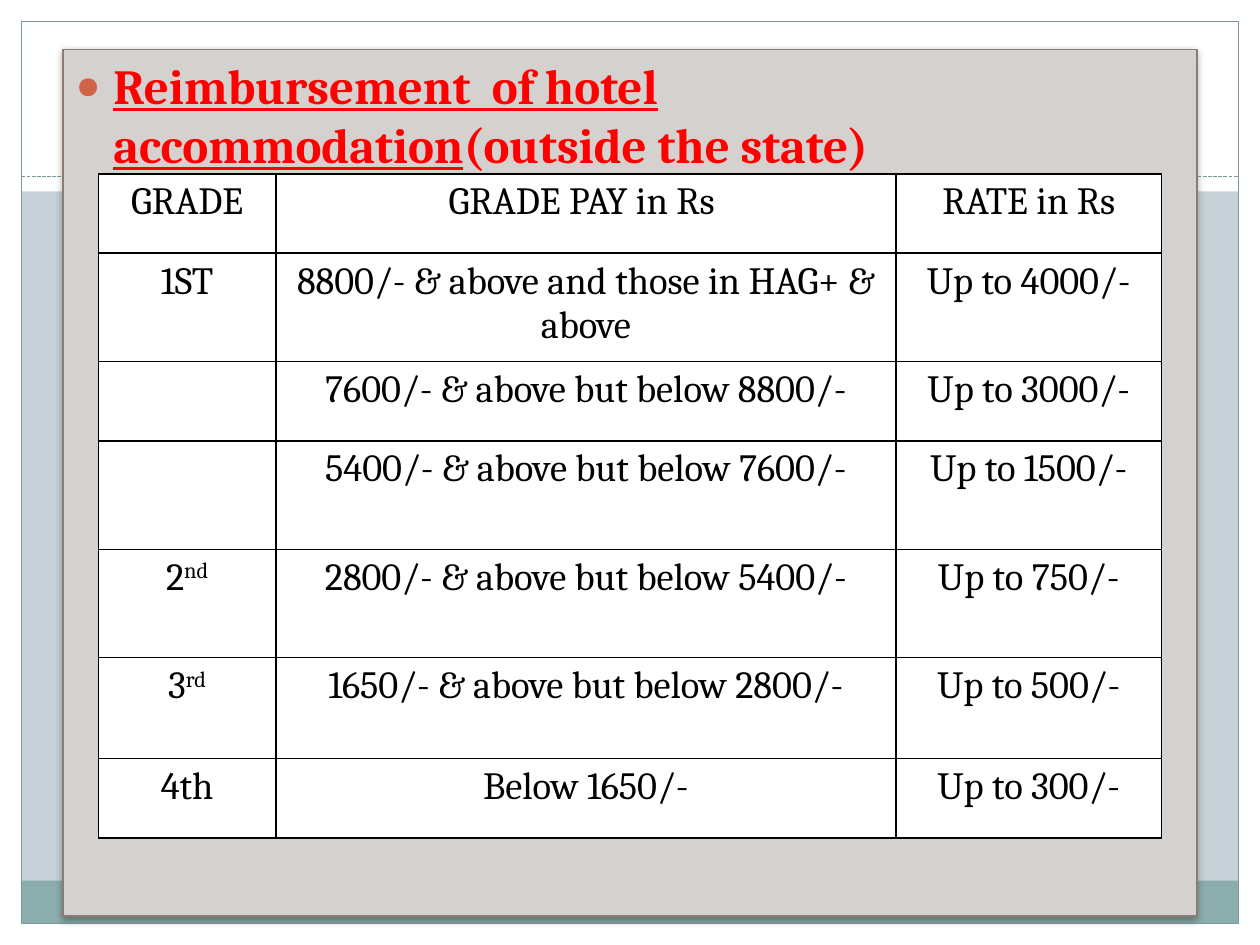
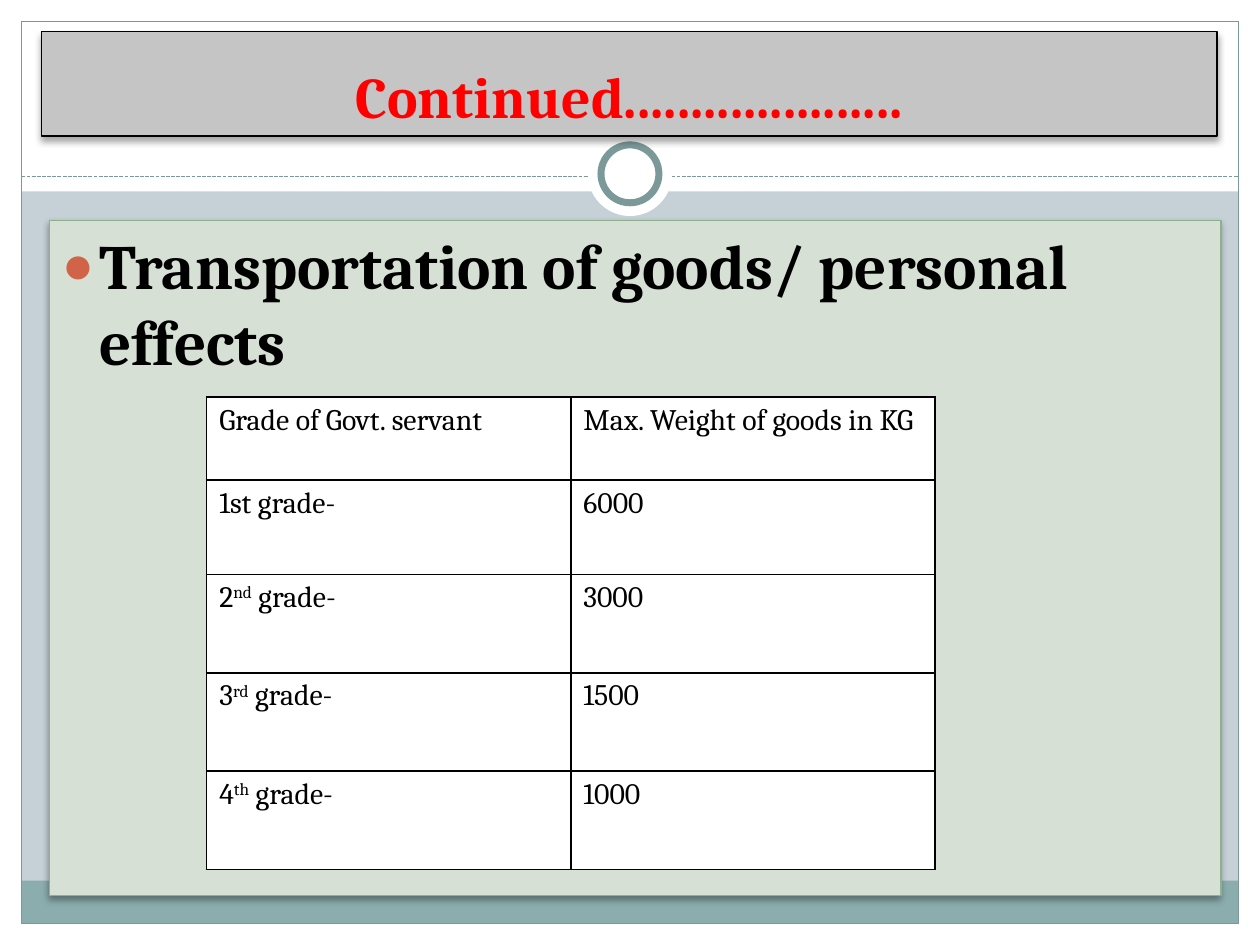
import pptx
import pptx.dml.color
import pptx.enum.dml
import pptx.enum.shapes
import pptx.enum.text
import pptx.oxml
import pptx.oxml.ns
import pptx.util

Inches = pptx.util.Inches
Pt = pptx.util.Pt
SHAPES = pptx.enum.shapes.MSO_SHAPE
ALIGN = pptx.enum.text.PP_ALIGN
ANCHOR = pptx.enum.text.MSO_ANCHOR
NAMESPACE = pptx.oxml.ns.nsdecls("a")

FONT = "Cambria"
WIDTH, HEIGHT = 10, 7.5
MARGIN = 0.17
HEADER_HEIGHT = 1.52
RULE_TOP = 1.4
COLORS = {
    "background": "C5D1D7",
    "white": "FFFFFF",
    "black": "000000",
    "red": "FF0000",
    "frame": "7C999A",
    "footer": "8CADAE",
    "bullet": "D16349",
    "stone": "D5D1CF",
    "stone_line": "8C7B70",
    "sage": "D6E0D5",
    "sage_line": "8FB08C",
    "title": "C5C5C5",
}


def rgb(name):
    return pptx.dml.color.RGBColor.from_string(COLORS[name])


def set_fill(fill, color):
    if color is None:
        fill.background()
    else:
        fill.solid()
        fill.fore_color.rgb = rgb(color)


def set_line(line, color, width=0.75):
    if color is None:
        line.fill.background()
    else:
        line.color.rgb = rgb(color)
        line.width = Pt(width)


def add_plain_shape(slide, kind, box, fill=None, line=None, width=0.75):
    shape = slide.shapes.add_shape(kind, *map(Inches, box))
    shape.shadow.inherit = False
    set_fill(shape.fill, fill)
    set_line(shape.line, line, width)
    return shape


def add_dashed_rule(slide, top):
    rule = slide.shapes.add_connector(
        pptx.enum.shapes.MSO_CONNECTOR.STRAIGHT,
        Inches(MARGIN), Inches(top), Inches(WIDTH - MARGIN), Inches(top))
    set_line(rule.line, "frame")
    rule.line.dash_style = pptx.enum.dml.MSO_LINE.SQUARE_DOT
    rule.element.spPr.append(
        pptx.oxml.parse_xml(f"<a:effectLst {NAMESPACE}/>"))
    return rule


def add_master_frame(presentation, slide):
    """Draw the shared bands and frame, then hand them to the slide master."""
    master = presentation.slide_master
    set_fill(master.background.fill, "background")
    inner_width = WIDTH - 2 * MARGIN
    bottom = HEIGHT - MARGIN
    bands = [
        ((0, bottom, WIDTH, MARGIN), "white"),
        ((0, 0, WIDTH, HEADER_HEIGHT), "white"),
        ((0, 0, MARGIN, HEIGHT), "white"),
        ((WIDTH - MARGIN, 0, MARGIN, HEIGHT), "white"),
        ((MARGIN, 6.99, inner_width, 0.34), "footer"),
    ]
    frame = [add_plain_shape(slide, SHAPES.RECTANGLE, box, fill)
             for box, fill in bands]
    frame.append(add_plain_shape(
        slide, SHAPES.RECTANGLE,
        (MARGIN, MARGIN, inner_width, bottom - MARGIN), line="frame"))
    frame.append(add_dashed_rule(slide, RULE_TOP))
    for number, shape in enumerate(frame, start=100):
        shape.element.xpath(".//p:cNvPr")[0].set("id", str(number))
        master.shapes.element.append(shape.element)


def add_ring(slide):
    for size, line in ((0.67, None), (0.46, "frame")):
        box = ((WIDTH - size) / 2, 1.38 - size / 2, size, size)
        add_plain_shape(slide, SHAPES.OVAL, box, "white", line, 4)


def add_bullet(paragraph):
    properties = paragraph._p.get_or_add_pPr()
    properties.set("marL", str(Inches(0.3)))
    properties.set("indent", str(-Inches(0.3)))
    for xml in (
        f'<a:buClr {NAMESPACE}><a:srgbClr val="{COLORS["bullet"]}"/></a:buClr>',
        f'<a:buSzPct {NAMESPACE} val="85000"/>',
        f'<a:buChar {NAMESPACE} char="●"/>',
    ):
        properties.append(pptx.oxml.parse_xml(xml))


def write_text(text_frame, text, size, color="black", bold=False,
               align=ALIGN.LEFT, bullet=False):
    """Write one paragraph; text is a string or (string, style) pairs."""
    paragraph = text_frame.paragraphs[0]
    paragraph.space_before = Pt(0)
    paragraph.alignment = align
    if bullet:
        add_bullet(paragraph)
    runs = [(text, None)] if isinstance(text, str) else text
    for content, style in runs:
        run = paragraph.add_run()
        run.text = content
        run.font.name = FONT
        run.font.size = Pt(size)
        run.font.bold = bold
        run.font.color.rgb = rgb(color)
        if style == "underline":
            run.font.underline = True
        elif style == "superscript":
            run._r.get_or_add_rPr().set("baseline", "30000")


def ordinal(number, suffix, rest=""):
    runs = [(number, None), (suffix, "superscript")]
    return runs + [(rest, None)] if rest else runs


def add_soft_shadow(shape):
    shape.shadow.inherit = False
    shape.element.spPr.find(pptx.oxml.ns.qn("a:effectLst")).append(
        pptx.oxml.parse_xml(
            f'<a:outerShdw {NAMESPACE} blurRad="{Pt(4)}" dist="{Pt(2)}" '
            'dir="5400000" rotWithShape="0"><a:srgbClr val="000000">'
            '<a:alpha val="35000"/></a:srgbClr></a:outerShdw>'))


def fill_placeholder(shape, box, text, fill, line, anchor, **text_format):
    """Turn a placeholder into a shadowed panel in front of earlier shapes."""
    shape.left, shape.top, shape.width, shape.height = map(Inches, box)
    set_fill(shape.fill, fill)
    set_line(shape.line, line)
    add_soft_shadow(shape)
    text_frame = shape.text_frame
    text_frame.word_wrap = True
    text_frame.auto_size = pptx.enum.text.MSO_AUTO_SIZE.NONE
    text_frame.vertical_anchor = anchor
    write_text(text_frame, text, **text_format)
    shape.element.getparent().append(shape.element)


def set_borders(cell):
    properties = cell._tc.get_or_add_tcPr()
    for side in ("lnL", "lnR", "lnT", "lnB"):
        properties.append(pptx.oxml.parse_xml(
            f'<a:{side} {NAMESPACE} w="{Pt(1)}"><a:solidFill>'
            f'<a:srgbClr val="{COLORS["black"]}"/></a:solidFill></a:{side}>'))


def add_grid_table(slide, left, top, widths, heights, rows, **text_format):
    table = slide.shapes.add_table(
        len(rows), len(widths), Inches(left), Inches(top),
        Inches(sum(widths)), Inches(sum(heights))).table
    table.first_row = False
    table.horz_banding = False
    for column, width in zip(table.columns, widths):
        column.width = Inches(width)
    for row, height, texts in zip(table.rows, heights, rows):
        row.height = Inches(height)
        for cell, text in zip(row.cells, texts):
            set_borders(cell)
            set_fill(cell.fill, "white")
            if text:
                write_text(cell.text_frame, text, **text_format)


def build_hotel_slide(slide):
    title = slide.shapes.title.element
    title.getparent().remove(title)
    fill_placeholder(
        slide.placeholders[1], (0.5, 0.39, 9, 6.88),
        [("Reimbursement  of hotel accommodation", "underline"),
         ("(outside the state)", None)],
        "stone", "stone_line", ANCHOR.TOP,
        size=28, color="red", bold=True, bullet=True)
    rows = [
        ("GRADE", "GRADE PAY in Rs ", "RATE in Rs"),
        ("1ST", "8800/- & above and those in HAG+ & above", "Up to 4000/-"),
        ("", "7600/- & above but below 8800/-", "Up to 3000/-"),
        ("", "5400/- & above but below 7600/-", "Up to 1500/-"),
        (ordinal("2", "nd"), "2800/- & above but below 5400/-", "Up to 750/-"),
        (ordinal("3", "rd"), "1650/- & above but below 2800/-", "Up to 500/-"),
        ("4th", "Below 1650/-", "Up to 300/-"),
    ]
    add_grid_table(slide, 0.78, 1.38, (1.41, 4.92, 2.11),
                   (0.63, 0.86, 0.63, 0.86, 0.86, 0.8, 0.63), rows,
                   size=22, align=ALIGN.CENTER)


def build_transport_slide(slide):
    add_ring(slide)
    fill_placeholder(
        slide.placeholders[1], (0.39, 1.75, 9.3, 5.36),
        "Transportation of goods/ personal effects",
        "sage", "sage_line", ANCHOR.TOP, size=36, bold=True, bullet=True)
    fill_placeholder(
        slide.shapes.title, (0.33, 0.25, 9.33, 0.83),
        "Continued.....................", "title", "black", ANCHOR.BOTTOM,
        size=33, color="red", bold=True, align=ALIGN.CENTER)
    rows = [
        ("Grade of Govt. servant", "Max. Weight of goods in KG"),
        ("1st grade-", "6000"),
        (ordinal("2", "nd", " grade-"), "3000"),
        (ordinal("3", "rd", " grade-"), "1500"),
        (ordinal("4", "th", " grade-"), "1000"),
    ]
    add_grid_table(slide, 1.64, 3.15, (2.89, 2.89),
                   (0.66, 0.75, 0.78, 0.78, 0.78), rows, size=17)


def main():
    presentation = pptx.Presentation()
    presentation.slide_width = Inches(WIDTH)
    presentation.slide_height = Inches(HEIGHT)
    layout = presentation.slide_layouts[1]
    hotel_slide = presentation.slides.add_slide(layout)
    add_master_frame(presentation, hotel_slide)
    build_hotel_slide(hotel_slide)
    build_transport_slide(presentation.slides.add_slide(layout))
    presentation.save("out.pptx")


if __name__ == "__main__":
    main()
